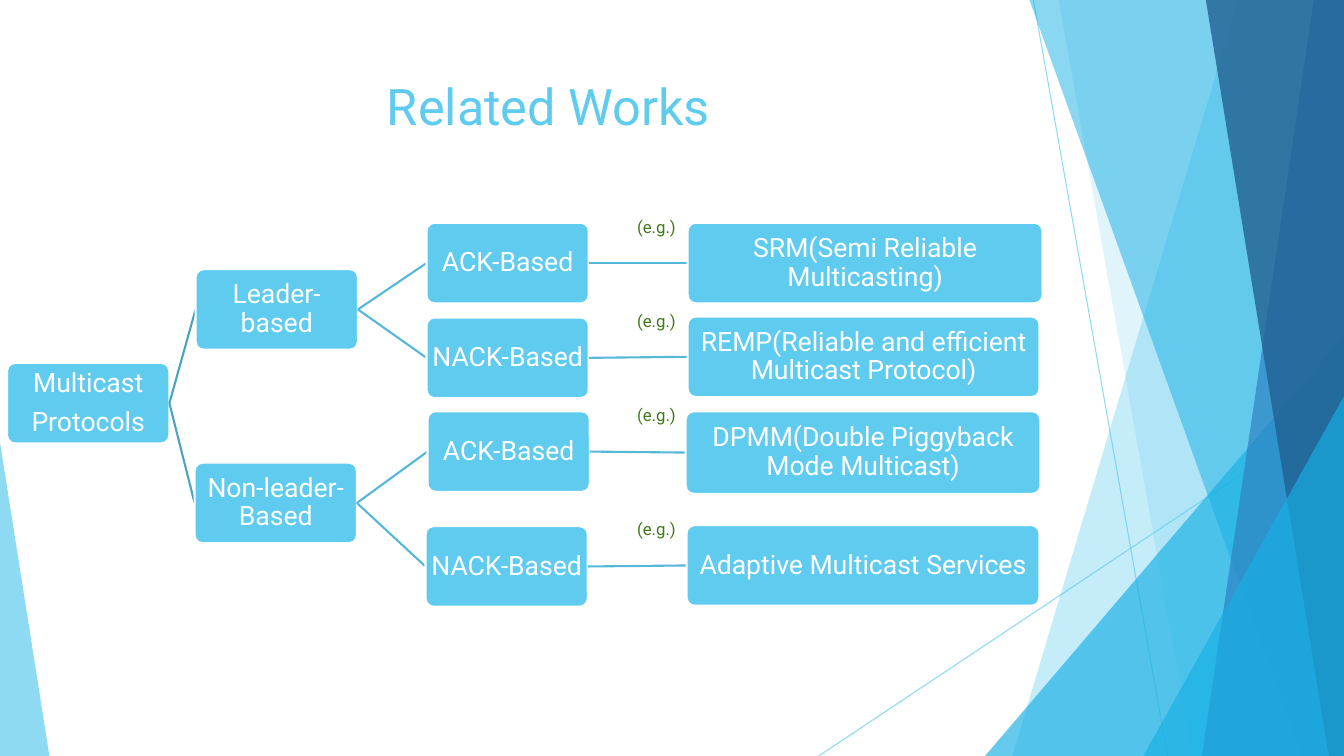
from lxml.etree import SubElement
from pptx import Presentation
from pptx.dml.color import RGBColor
from pptx.enum.shapes import MSO_CONNECTOR, MSO_SHAPE
from pptx.enum.text import MSO_ANCHOR, PP_ALIGN
from pptx.oxml.ns import qn
from pptx.util import Inches, Pt

COLORS = {
    "sky": "5FCBEF", "cyan": "17B0E4", "blue": "2E83C3", "navy": "226292",
    "trunk": "4CA3BF", "twig": "56B8D9", "white": "FFFFFF", "green": "3F7819",
}
COLS, ROWS = 133.3, 75
LEFT, RIGHT = 1, 3

RAYS = [((102.5, 0), (115.8, ROWS)), ((COLS, 40.3), (81.2, ROWS))]
BANDS = [
    (122.8, 100.4, "sky", 36),
    (105, 118.3, "sky", 20),
    (97.7, 33.3, 35.6, 1, "cyan", 66),
    (102.1, 129.1, "cyan", 50),
    (130.3, 119.2, "blue", 70),
    (119.6, 131.8, "navy", 80),
    (113.4, 39.3, 19.9, 1, "cyan", 66),
    (0, 43.9, 4.9, 0, "sky", 70),
]
TREE = (["Multicast", "Protocols"], (0.7, 36, 16.1, 8), [
    (["Leader-based"], (19.4, 26.7, 16.1, 8), [
        (["ACK-Based"], (42.3, 22.1, 16.1, 8), [
            (["SRM(Semi Reliable Multicasting)"], (68.2, 22.1, 35.2, 8), [])]),
        (["NACK-Based"], (42.3, 31.5, 16.1, 8), [
            (["REMP(Reliable and efficient Multicast Protocol)"], (68.2, 31.4, 34.9, 8), [])]),
    ]),
    (["Non-leader-Based"], (19.3, 45.9, 16.1, 8), [
        (["ACK-Based"], (42.4, 40.8, 16.1, 8), [
            (["DPMM(Double Piggyback Mode Multicast)"], (68, 40.8, 35.2, 8.2), [])]),
        (["NACK-Based"], (42.2, 52.2, 16.1, 8), [
            (["Adaptive Multicast Services"], (68.1, 52.1, 35, 8), [])]),
    ]),
])


class Deck:
    """Holds the style and the current slide, with lengths in grid columns and rows."""

    def __init__(self):
        self.show = Presentation()
        self.show.slide_width, self.show.slide_height = self.grid(COLS, ROWS)
        self.slide = self.show.slides.add_slide(self.show.slide_layouts[5])
        self.shapes = self.slide.shapes
        self.font = "Roboto"

    def grid(self, *cells):
        return [Inches(cell / 10) for cell in cells]

    def color(self, name):
        return RGBColor.from_string(COLORS[name])

    def fade(self, shape, share):
        for tint in shape._element.spPr.iter(qn("a:srgbClr")):
            SubElement(tint, qn("a:alpha"), val=str(share * 1000))

    def letter(self, frame, lines, size, color, align=PP_ALIGN.CENTER):
        frame.word_wrap = True
        for index, line in enumerate(lines):
            para = frame.add_paragraph() if index else frame.paragraphs[0]
            para.alignment = align
            run = para.add_run()
            run.text = line
            run.font.size, run.font.name = Pt(size), self.font
            run.font.color.rgb = self.color(color)

    def title(self, text, *area):
        head = self.shapes.title
        head.left, head.top, head.width, head.height = self.grid(*area)
        head.text_frame.vertical_anchor = MSO_ANCHOR.TOP
        self.letter(head.text_frame, [text], 36, "sky")

    def line(self, start, end, color, width):
        link = self.shapes.add_connector(MSO_CONNECTOR.STRAIGHT, *self.grid(*start, *end))
        link.line.color.rgb = self.color(color)
        link.line.width = Pt(width)
        SubElement(link._element.spPr, qn("a:effectLst"))
        return link

    def paint(self, shape, color, share):
        shape.shadow.inherit = False
        shape.fill.solid()
        shape.fill.fore_color.rgb = self.color(color)
        shape.line.fill.background()
        self.fade(shape, share)

    def band(self, top, base, color, share):
        pen = self.shapes.build_freeform(*self.grid(top, 0))
        pen.add_line_segments([self.grid(*point) for point in
                               [(COLS, 0), (COLS, ROWS), (base, ROWS)]])
        self.paint(pen.convert_to_shape(), color, share)

    def wedge(self, left, top, width, peak, color, share):
        shape = self.shapes.add_shape(MSO_SHAPE.ISOSCELES_TRIANGLE,
                                      *self.grid(left, top, width, ROWS - top))
        shape.adjustments[0] = peak
        self.paint(shape, color, share)

    def box(self, lines, area):
        shape = self.shapes.add_shape(MSO_SHAPE.ROUNDED_RECTANGLE, *self.grid(*area))
        shape.adjustments[0] = 0.1
        shape.shadow.inherit = False
        shape.fill.solid()
        shape.fill.fore_color.rgb = self.color("sky")
        shape.line.color.rgb = self.color("white")
        shape.line.width = Pt(1.5)
        frame = shape.text_frame
        frame.margin_left = frame.margin_right = Inches(0.01)
        frame.margin_top = frame.margin_bottom = Inches(0.01)
        frame.vertical_anchor = MSO_ANCHOR.MIDDLE
        self.letter(frame, lines, 19, "white")
        for para in frame.paragraphs:
            para.line_spacing, para.space_after = 0.9, Pt(7)
        return shape

    def label(self, text, *area):
        note = self.shapes.add_textbox(*self.grid(*area))
        self.letter(note.text_frame, [text], 12, "green", PP_ALIGN.LEFT)

    def tree(self, node, color="trunk"):
        lines, area, kids = node
        shape = self.box(lines, area)
        for kid in kids:
            link = self.line(area[:2], kid[1][:2], color, 1.5)
            link.begin_connect(shape, RIGHT)
            link.end_connect(self.tree(kid, "twig"), LEFT)
        if not kids:
            self.label("(e.g.)", 62.2, area[1] - 1.1, 6.8, 3)
        return shape


def main():
    deck = Deck()
    for start, end in RAYS:
        deck.fade(deck.line(start, end, "sky", 0.75), 70)
    for item in BANDS:
        draw = deck.band if len(item) == 4 else deck.wedge
        draw(*item)
    deck.title("Related Works", 7.4, 6.9, 94, 14.4)
    deck.tree(TREE)
    deck.show.save("out.pptx")


if __name__ == "__main__":
    main()
